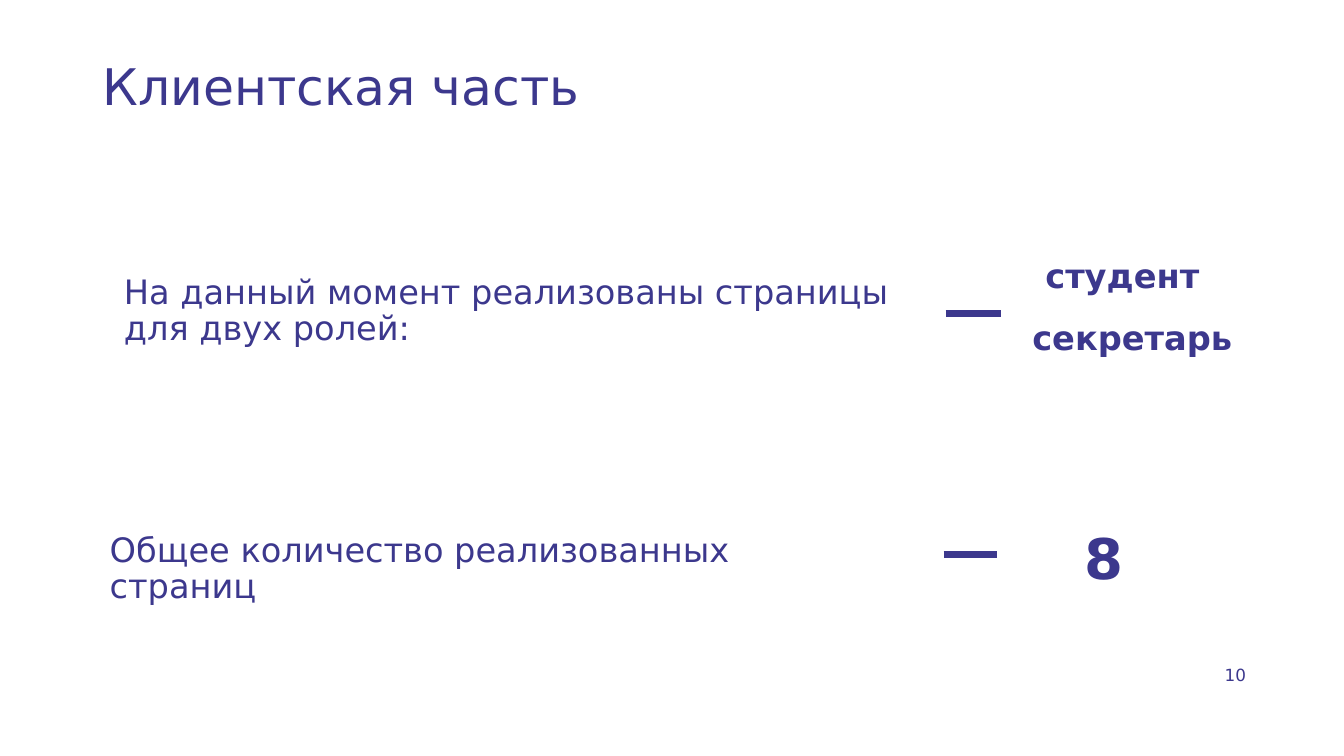
from lxml import etree
from pptx import Presentation
from pptx.dml.color import RGBColor
from pptx.enum.shapes import MSO_CONNECTOR
from pptx.enum.text import MSO_ANCHOR, PP_ALIGN
from pptx.oxml.ns import qn
from pptx.util import Inches, Pt

COLORS = {"background": "FFFFFF", "indigo": "3C388D"}
FONT = "DejaVu Sans"
TOP, MIDDLE = MSO_ANCHOR.TOP, MSO_ANCHOR.MIDDLE
LEFT, RIGHT = PP_ALIGN.LEFT, PP_ALIGN.RIGHT

TITLE = ("Клиентская часть", (0.92, 0.57, 8, 0.86), 36)
PAGE_NUMBER = ("10 ", (11.03, 6.55, 1.48, 0.4), 12)
STATEMENTS = [
    ("На данный момент реализованы страницы для двух ролей:", (1.13, 2.64, 8.09, 0.9), MIDDLE),
    ("Общее количество реализованных страниц", (0.99, 5.24, 7.86, 0.7), TOP),
]
ANSWERS = [
    ("студент", (10.27, 2.52, 1.77, 0.55), 24),
    ("секретарь", (10.14, 3.14, 2.71, 0.55), 24),
    ("8", (10.66, 5.22, 1, 0.55), 40),
]
DASHES = [(9.38, 9.93, 3.11), (9.36, 9.89, 5.5)]


def add_text(page, text, area, size, bold=False, align=LEFT, anchor=TOP, spacing=0.9):
    """Add a wrapped text box holding one paragraph."""
    box = page.shapes.add_textbox(*map(Inches, area))
    frame = box.text_frame
    frame.word_wrap = True
    frame.vertical_anchor = anchor
    frame.text = text
    para = frame.paragraphs[0]
    para.alignment = align
    para.line_spacing = spacing
    span = para.runs[0]
    span.font.name = FONT
    span.font.size = Pt(size)
    span.font.bold = bold
    span.font.color.rgb = RGBColor.from_string(COLORS["indigo"])
    return para


def add_dash(page, start, end, height):
    """Add a thick horizontal dash without a shadow."""
    dash = page.shapes.add_connector(
        MSO_CONNECTOR.STRAIGHT, *map(Inches, (start, height, end, height)))
    dash.line.color.rgb = RGBColor.from_string(COLORS["indigo"])
    dash.line.width = Pt(4.5)
    etree.SubElement(dash._element.spPr, qn("a:effectLst"))


def main():
    """Build and save the slide."""
    deck = Presentation()
    deck.slide_width, deck.slide_height = Inches(13.33), Inches(7.5)
    page = deck.slides.add_slide(deck.slide_layouts[6])
    page.background.fill.solid()
    page.background.fill.fore_color.rgb = RGBColor.from_string(COLORS["background"])

    add_text(page, *PAGE_NUMBER, align=RIGHT, spacing=1.0)
    add_text(page, *TITLE)
    for text, area, anchor in STATEMENTS:
        add_text(page, text, area, 24, anchor=anchor).space_before = Pt(10)
    for answer in ANSWERS:
        add_text(page, *answer, bold=True).space_before = Pt(10)
    for dash in DASHES:
        add_dash(page, *dash)
    deck.save("out.pptx")


if __name__ == "__main__":
    main()
